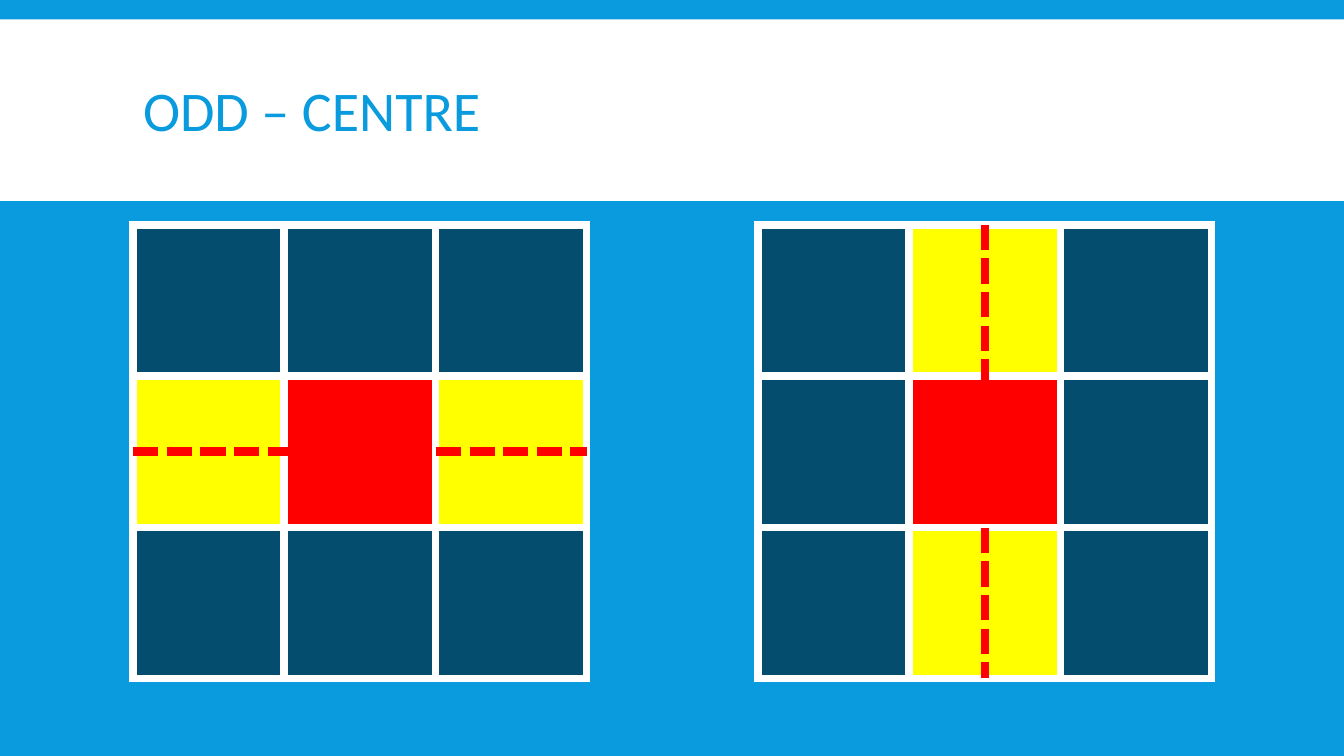
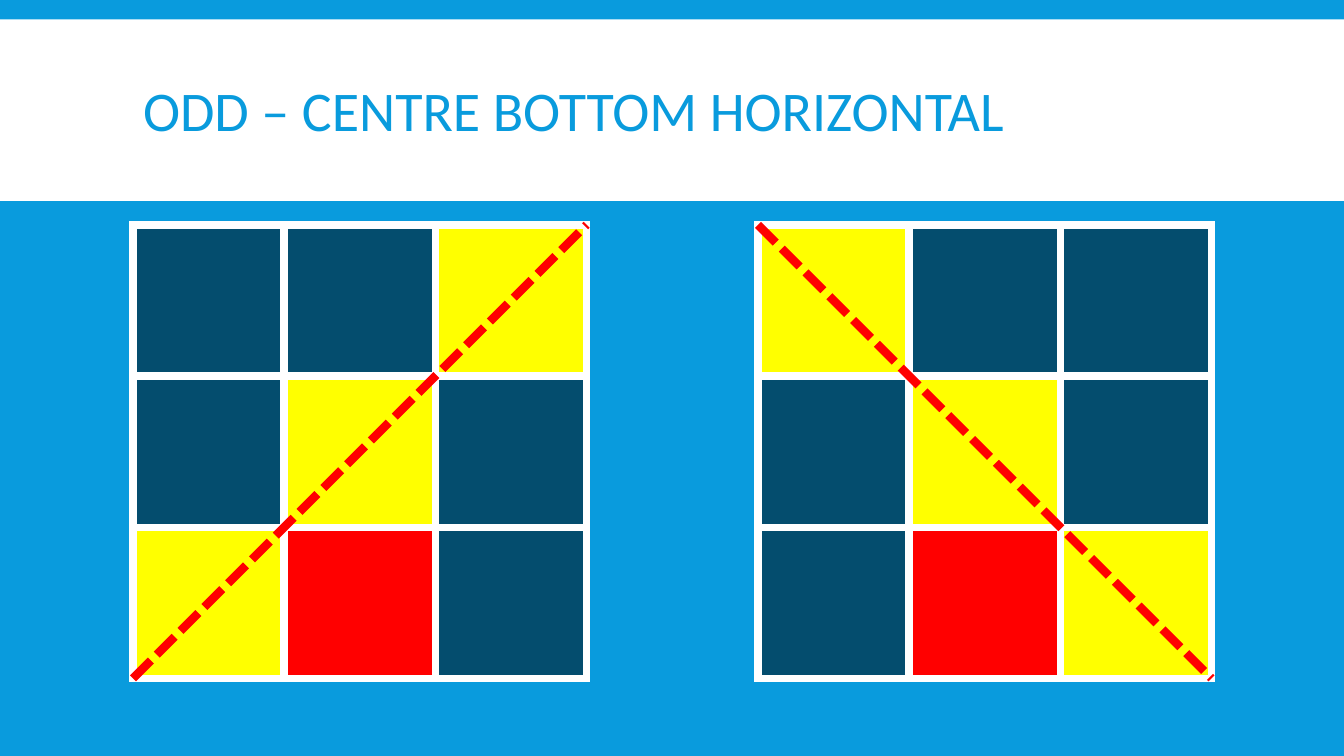
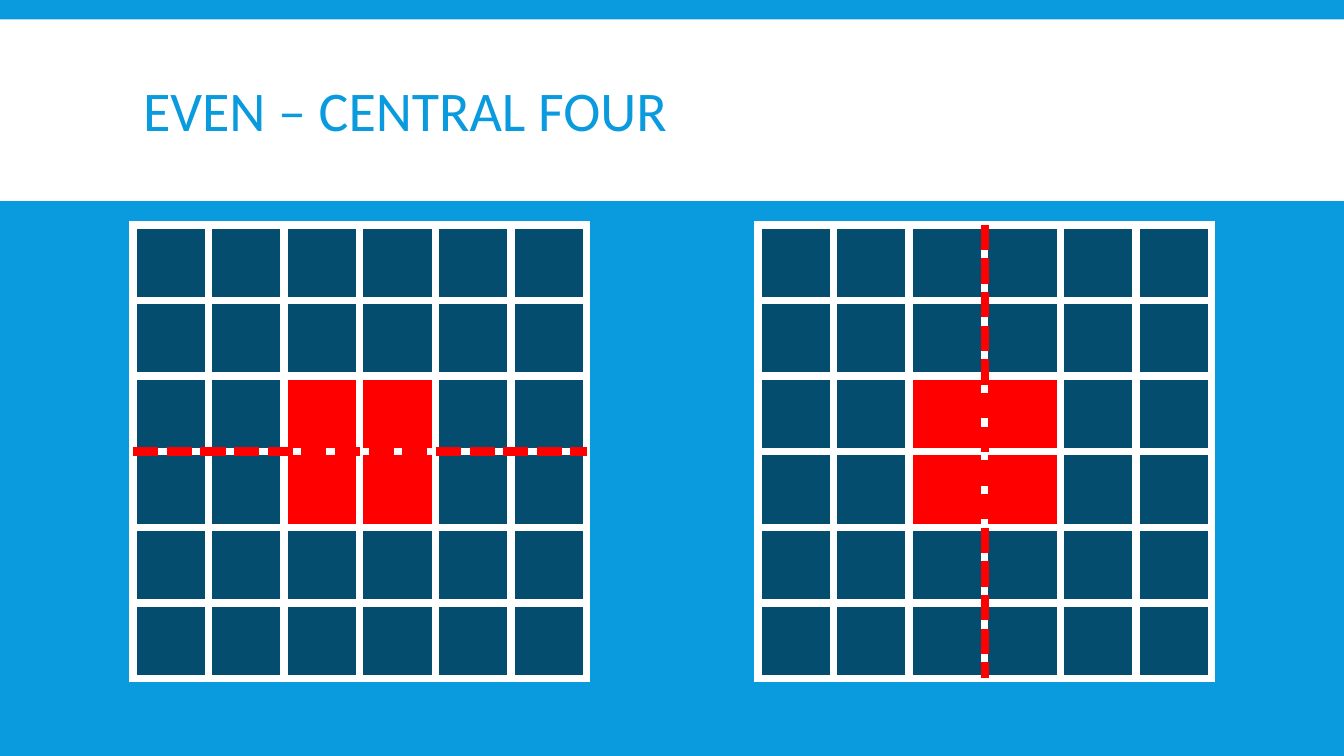
from lxml.etree import SubElement
from pptx import Presentation
from pptx.dml.color import RGBColor
from pptx.enum.dml import MSO_LINE
from pptx.enum.shapes import MSO_CONNECTOR, MSO_SHAPE
from pptx.enum.text import MSO_ANCHOR, MSO_AUTO_SIZE, PP_ALIGN
from pptx.oxml import parse_xml
from pptx.oxml.ns import nsdecls, qn
from pptx.util import Pt

SKY, WHITE, RED = "099BDD", "FFFFFF", "FF0000"
CELL_COLOURS = {"n": "044D6E", "y": "FFFF00", "r": RED}
GRID_TOP, GRID_SIZE = 160.6, 324
GRID_LEFTS = (95, 541.4)
LINE_WIDTH = 6


def colour(hex_string):
    return RGBColor.from_string(hex_string)


def border_cell(cell):
    properties = cell._tc.get_or_add_tcPr()
    for side in ("lnL", "lnR", "lnT", "lnB"):
        properties.append(parse_xml(
            f'<a:{side} {nsdecls("a")} w="{Pt(LINE_WIDTH)}"><a:solidFill>'
            f'<a:srgbClr val="{WHITE}"/></a:solidFill></a:{side}>'))


# Each grid: rows of cell letters, then line start and end as fractions of the grid
HORIZONTAL = ((0, 0.5), (1, 0.5))
VERTICAL = ((0.5, 0), (0.5, 1))
CENTRAL_FOUR = ["nnnnnn"] * 2 + ["nnrrnn"] * 2 + ["nnnnnn"] * 2
LESSONS = [
    ("ODD – CENTRE", [
        (["nnn", "yry", "nnn"], HORIZONTAL),
        (["nyn", "nrn", "nyn"], VERTICAL)]),
    ("ODD – CENTRE BOTTOM HORIZONTAL", [
        (["nny", "nyn", "yrn"], ((0, 1), (1, 0))),
        (["ynn", "nyn", "nry"], ((0, 0), (1, 1)))]),
    ("EVEN – CENTRAL FOUR", [
        (CENTRAL_FOUR, HORIZONTAL),
        (CENTRAL_FOUR, VERTICAL)]),
]

prs = Presentation()
prs.slide_width, prs.slide_height = Pt(960), Pt(540)

# Shared background and title place
layout = prs.slide_layouts.get_by_name("Title Only")
background = prs.slide_master.background.fill
background.solid()
background.fore_color.rgb = colour(SKY)
title_place = {"left": Pt(95), "top": Pt(22.3), "width": Pt(770.4), "height": Pt(118.8)}
for name, value in title_place.items():
    setattr(layout.placeholders[0], name, value)

title_frame = {"vertical_anchor": MSO_ANCHOR.MIDDLE, "auto_size": MSO_AUTO_SIZE.NONE,
               "word_wrap": True}
title_paragraph = {"alignment": PP_ALIGN.LEFT, "line_spacing": 0.85}
title_font = {"name": "Calibri", "size": Pt(40)}

slides = [prs.slides.add_slide(layout) for _ in LESSONS]

# Title band, moved to the layout so that all slides show it
band = slides[0].shapes.add_shape(MSO_SHAPE.RECTANGLE, 0, Pt(13.9), prs.slide_width, Pt(129.6))
band.shadow.inherit = False
band.fill.solid()
band.fill.fore_color.rgb = colour(WHITE)
band.line.fill.background()
layout.shapes._spTree.insert(2, band._element)

for slide, (heading, grids) in zip(slides, LESSONS):
    # Title
    frame = slide.shapes.title.text_frame
    frame.text = heading
    paragraph = frame.paragraphs[0]
    font = paragraph.runs[0].font
    for target, values in ((frame, title_frame), (paragraph, title_paragraph),
                           (font, title_font)):
        for name, value in values.items():
            setattr(target, name, value)
    font.color.rgb = colour(SKY)

    for grid_left, (rows, line_ends) in zip(GRID_LEFTS, grids):
        # Grid of coloured cells
        count = len(rows)
        grid = slide.shapes.add_table(count, count, Pt(grid_left), Pt(GRID_TOP),
                                      Pt(GRID_SIZE), Pt(GRID_SIZE)).table
        for r, row in enumerate(rows):
            grid.rows[r].height = grid.columns[r].width = Pt(GRID_SIZE / count)
            for c, letter in enumerate(row):
                cell = grid.cell(r, c)
                border_cell(cell)
                cell.fill.solid()
                cell.fill.fore_color.rgb = colour(CELL_COLOURS[letter])

        # Dashed dividing line
        ends = [Pt(start + part * GRID_SIZE) for point in line_ends
                for start, part in zip((grid_left, GRID_TOP), point)]
        divider = slide.shapes.add_connector(MSO_CONNECTOR.STRAIGHT, *ends)
        divider.line.color.rgb = colour(RED)
        divider.line.width = Pt(LINE_WIDTH)
        divider.line.dash_style = MSO_LINE.SQUARE_DOT
        SubElement(divider._element.spPr, qn("a:effectLst"))

prs.save("out.pptx")
